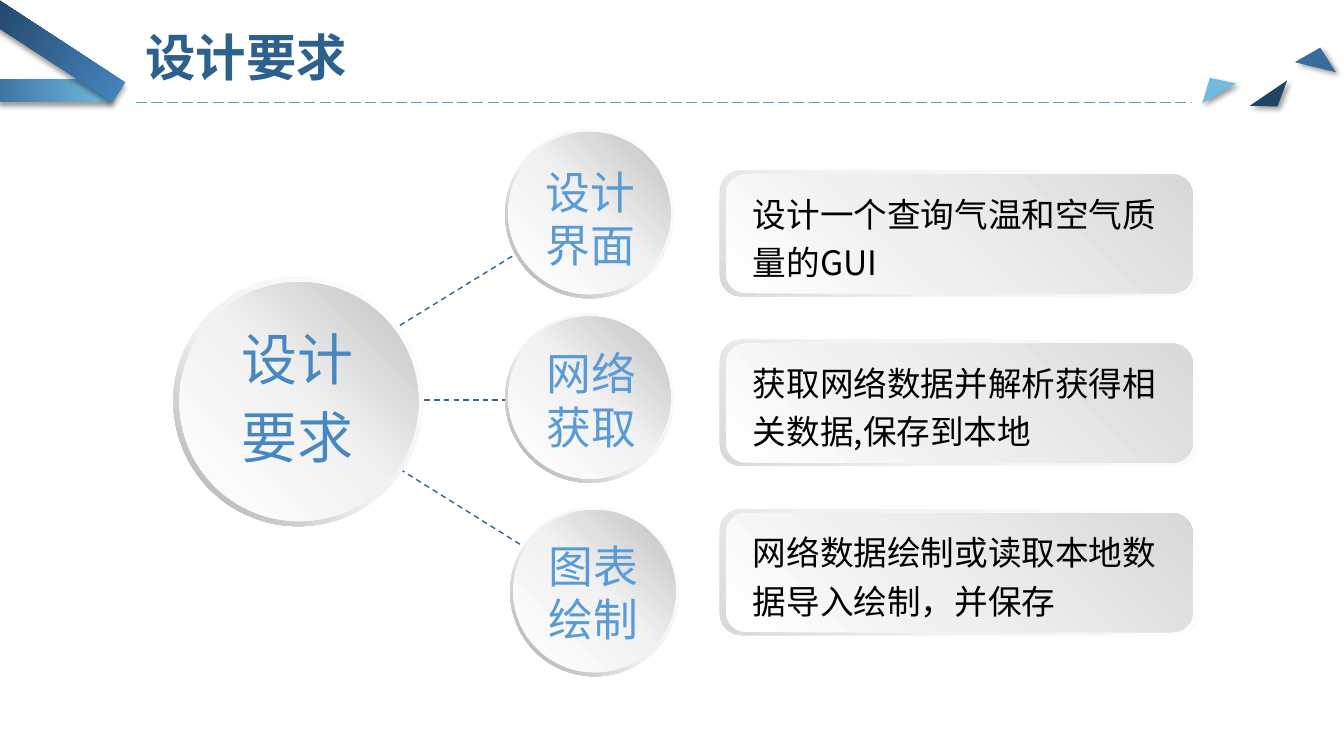
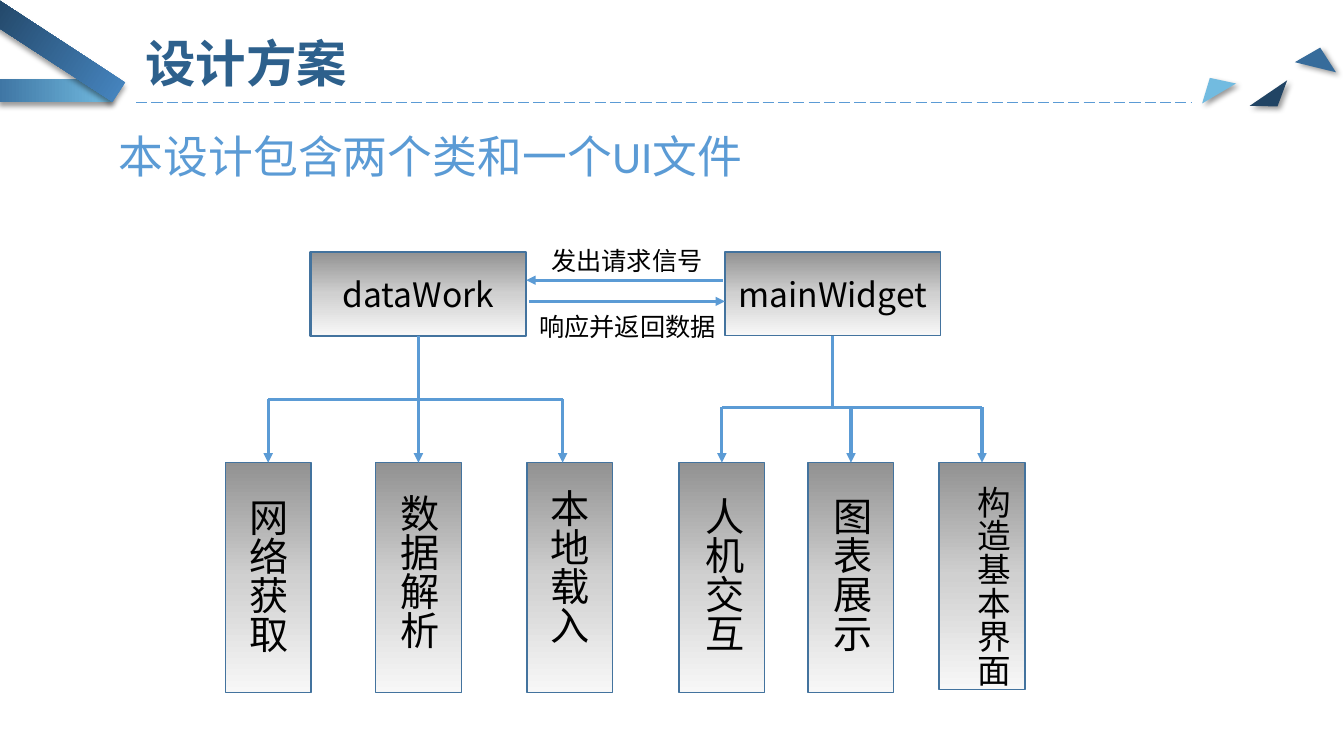
from dataclasses import dataclass

from lxml import etree
from pptx import Presentation
from pptx.dml.color import RGBColor
from pptx.enum.dml import MSO_LINE
from pptx.enum.shapes import MSO_CONNECTOR, MSO_SHAPE
from pptx.enum.text import MSO_ANCHOR, MSO_AUTO_SIZE, PP_ALIGN
from pptx.oxml.ns import qn
from pptx.util import Inches, Pt

RECTANGLE, ROUNDED, TRIANGLE = MSO_SHAPE.RECTANGLE, MSO_SHAPE.ROUNDED_RECTANGLE, MSO_SHAPE.ISOSCELES_TRIANGLE
OVAL, DONUT = MSO_SHAPE.OVAL, MSO_SHAPE.DONUT
STRAIGHT = MSO_CONNECTOR.STRAIGHT
DASH, LONG_DASH = MSO_LINE.DASH, MSO_LINE.LONG_DASH
LEFT, CENTER = PP_ALIGN.LEFT, PP_ALIGN.CENTER
TOP, MIDDLE = MSO_ANCHOR.TOP, MSO_ANCHOR.MIDDLE


@dataclass(frozen=True)
class Theme:
    body_font: str = "Noto Sans CJK SC"
    plain_font: str = "Calibri"
    title: str = "2D608C"
    accent: str = "5B9BD5"
    strong: str = "4787C2"
    navy: str = "214464"
    steel: str = "376C9B"
    sky: str = "72BBE0"
    spoke: str = "316595"
    border: str = "43739E"
    black: str = "000000"
    title_size: int = 36
    hub_size: int = 40
    heading_size: int = 32
    vertical_size: int = 28
    text_size: int = 24
    label_size: int = 18
    # Gradients: (stops, clockwise angle)
    flat_band: tuple = (((0, "72BBE0"), (100, "3F76A4")), 180)
    slant_band: tuple = (((0, "4787C2"), (100, "214464")), 180)
    ring: tuple = (((0, "FFFFFF"), (55, "F2F2F2"), (100, "A6A6A6")), 135)
    disc: tuple = (((0, "FFFFFF"), (51, "F2F2F2"), (100, "BFBFBF")), 315)
    rim: tuple = (((0, "FFFFFF"), (62, "F2F2F2"), (100, "D9D9D9")), 135)
    panel: tuple = (((0, "FFFFFF"), (42, "F0F0F0"), (100, "D9D9D9")), 315)
    node: tuple = (((0, "929292"), (50, "D0D0D0"), (100, "F7F7F7")), 90)


THEME = Theme()

# Shared decoration: kind, place, rotation, fill, shadow direction
DECORATION = [
    (RECTANGLE, (-0.01, 0.78, 1.12, 0.23), 0, THEME.flat_band, 90),
    (RECTANGLE, (-0.2, 0.39, 1.5, 0.23), 33.1, THEME.slant_band, 90),
    (TRIANGLE, (12.4, 0.91, 0.45, 0.16), 145.8, THEME.navy, 45),
    (TRIANGLE, (12.86, 0.47, 0.42, 0.2), 13.8, THEME.steel, 45),
    (TRIANGLE, (11.85, 0.76, 0.39, 0.18), 329.5, THEME.sky, 45),
]

# Requirements slide
HUB_LINES = ["设计", "要求"]
SPOKES = [((3.72, 4.5), (5.19, 5.42)), ((3.92, 3.97), (5.06, 3.97)), ((3.72, 3.38), (5.1, 2.53))]
# Heading lines, ring corner, heading place, description
REQUIREMENTS = [
    (["设计", "界面"], (5.01, 1.28), (5.17, 1.56, 1.38, 1.21), "设计一个查询气温和空气质量的GUI"),
    (["网络", "获取"], (5.01, 3.11), (5.22, 3.36, 1.3, 1.21), "获取网络数据并解析获得相关数据,保存到本地"),
    (["图表", "绘制"], (5.06, 5.03), (5.27, 5.27, 1.24, 1.21), "网络数据绘制或读取本地数据导入绘制，并保存"),
]
PANEL_TOP, PANEL_STEP = 1.69, 1.68

# Scheme slide
SUMMARY = "本设计包含两个类和一个UI文件"
# Class name, left, border width, bus height, children:
# (label, box centre, arrow x, label left, label top, height)
CLASSES = [
    ("dataWork", 3.08, 1.5, 3.96, [
        ("网络获取", 2.66, 2.66, 2.27, 4.84, 2.28),
        ("数据解析", 4.15, 4.15, 3.77, 4.8, 2.28),
        ("本地载入", 5.65, 5.58, 5.25, 4.75, 2.28)]),
    ("mainWidget", 7.19, 1, 4.04, [
        ("人机交互", 7.16, 7.16, 6.79, 4.83, 2.28),
        ("图表展示", 8.44, 8.44, 8.06, 4.83, 2.28),
        ("构造基本界面", 9.74, 9.74, 9.49, 4.72, 2.25)]),
]
# Message, place, arrow start, arrow end
MESSAGES = [
    ("发出请求信号", (5.37, 2.38, 1.72, 0.4), (7.17, 2.78), (5.22, 2.78)),
    ("响应并返回数据", (5.25, 3.04, 1.97, 0.4), (5.25, 2.99), (7.19, 2.99)),
]
CLASS_TOP, CLASS_WIDTH, CLASS_HEIGHT = 2.5, 2.14, 0.83
CHILD_TOP, CHILD_WIDTH = 4.59, 0.85


def color(value):
    return RGBColor.from_string(value)


def add_element(parent, tag, **attributes):
    return etree.SubElement(parent, qn(tag), {key: str(value) for key, value in attributes.items()})


def paint(shape, fill):
    """Fill with one colour or with a (stops, angle) gradient."""
    if isinstance(fill, str):
        shape.fill.solid()
        shape.fill.fore_color.rgb = color(fill)
        return
    stops, angle = fill
    shape.fill.gradient()
    shape.fill.gradient_angle = 360 - angle
    stop_list = shape.element.spPr.find(".//" + qn("a:gsLst"))
    for old_stop in list(stop_list):
        stop_list.remove(old_stop)
    for position, value in stops:
        stop = add_element(stop_list, "a:gs", pos=position * 1000)
        add_element(stop, "a:srgbClr", val=value)


def add_figure(slide, kind, place, fill, rotation=0, border=None, adjustment=None):
    shape = slide.shapes.add_shape(kind, *map(Inches, place))
    shape.rotation = rotation
    paint(shape, fill)
    if border:
        shape.line.color.rgb = color(THEME.border)
        shape.line.width = Pt(border)
    else:
        shape.line.fill.background()
    if adjustment is not None:
        shape.adjustments[0] = adjustment
    shape.shadow.inherit = False
    return shape


def add_shadow(shape, direction):
    effects = shape.element.spPr.find(qn("a:effectLst"))
    shadow = add_element(effects, "a:outerShdw", blurRad=Pt(4), dist=Pt(3),
                         dir=direction * 60000, algn="tl", rotWithShape=0)
    add_element(add_element(shadow, "a:srgbClr", val=THEME.black), "a:alpha", val=40000)


def add_line(slide, start, end, line_color=THEME.accent, width=2.25, dash=None, arrow=False):
    line = slide.shapes.add_connector(STRAIGHT, *map(Inches, (*start, *end)))
    line.line.color.rgb = color(line_color)
    line.line.width = Pt(width)
    if dash:
        line.line.dash_style = dash
    if arrow:
        add_element(line.element.spPr.find(qn("a:ln")), "a:tailEnd", type="triangle")
    add_element(line.element.spPr, "a:effectLst")
    return line


def write(shape, lines, size, text_color=THEME.black, font=THEME.body_font, align=LEFT, anchor=TOP,
          margins=(0.1, 0.05, 0.1, 0.05), spacing=None, gap=0, bold=False):
    frame = shape.text_frame
    frame.word_wrap = True
    frame.vertical_anchor = anchor
    (frame.margin_left, frame.margin_top,
     frame.margin_right, frame.margin_bottom) = map(Inches, margins)
    for index, line in enumerate(lines):
        paragraph = frame.add_paragraph() if index else frame.paragraphs[0]
        paragraph.alignment = align
        if spacing:
            paragraph.line_spacing = spacing
        if index and gap:
            paragraph.space_before = Pt(gap)
        run = paragraph.add_run()
        run.text = line
        run.font.name = font
        run.font.size = Pt(size)
        run.font.bold = bold
        run.font.color.rgb = color(text_color)
        add_element(run.font._element, "a:ea", typeface=THEME.plain_font)
    return frame


def add_text(slide, place, lines, size, **style):
    box = slide.shapes.add_textbox(*map(Inches, place))
    return write(box, lines, size, **style)


def add_title(slide, text, top, height):
    title = slide.shapes.title
    title.left, title.top, title.width, title.height = map(Inches, (1.34, top, 4.94, height))
    write(title, [text], THEME.title_size, text_color=THEME.title, font=THEME.plain_font,
          anchor=MIDDLE, spacing=0.9, bold=True)


def decorate_layout(layout, slide):
    """Draw the shared parts once and move them to the layout."""
    parts = []
    for kind, place, rotation, fill, direction in DECORATION:
        shape = add_figure(slide, kind, place, fill, rotation)
        add_shadow(shape, direction)
        parts.append(shape)
    parts.append(add_line(slide, (1.35, 1.02), (11.81, 1.02), width=1, dash=LONG_DASH))
    for number, part in enumerate(parts, start=100):
        part.element.find(".//" + qn("p:cNvPr")).set("id", str(number))
        layout.shapes.element.append(part.element)


def add_medallion(slide, left, top, size, inset, disc_size):
    add_figure(slide, DONUT, (left, top, size, size), THEME.ring, adjustment=0.049)
    add_figure(slide, OVAL, (left + inset, top + inset, disc_size, disc_size), THEME.disc)


def build_requirements(slide):
    add_title(slide, "设计要求", 0.13, 0.94)
    for start, end in SPOKES:
        add_line(slide, start, end, THEME.spoke, 1, DASH)

    # Hub
    wide_margins = (0.13, 0.07, 0.13, 0.07)
    add_medallion(slide, 1.72, 2.74, 2.48, 0.06, 2.37)
    add_text(slide, (2.21, 3.15, 1.48, 2.18), HUB_LINES, THEME.hub_size, text_color=THEME.strong,
             align=CENTER, margins=wide_margins, gap=THEME.hub_size * 0.2)

    # Requirement rows
    for row, (heading, corner, place, description) in enumerate(REQUIREMENTS):
        add_medallion(slide, *corner, 1.68, 0.03, 1.61)
        add_text(slide, place, heading, THEME.heading_size, text_color=THEME.accent,
                 align=CENTER, margins=wide_margins)
        top = PANEL_TOP + row * PANEL_STEP
        add_figure(slide, ROUNDED, (7.14, top, 4.75, 1.25), THEME.rim)
        panel = add_figure(slide, ROUNDED, (7.2, top + 0.04, 4.63, 1.18), THEME.panel)
        write(panel, [description], THEME.text_size, anchor=MIDDLE, spacing=1.2,
              margins=(0.21, 0.05, 0.07, 0.05))


def build_scheme(slide):
    add_title(slide, "设计方案", 0.24, 0.83)
    add_text(slide, (1.08, 1.23, 6.44, 0.64), [SUMMARY], THEME.heading_size,
             text_color=THEME.accent, font=THEME.plain_font)

    for name, left, border, bus, children in CLASSES:
        # Class box
        box = add_figure(slide, RECTANGLE, (left, CLASS_TOP, CLASS_WIDTH, CLASS_HEIGHT),
                         THEME.node, border=border)
        write(box, [name], THEME.text_size, align=CENTER, anchor=MIDDLE)

        # Task boxes with vertical labels
        for label, center, _, label_left, label_top, height in children:
            add_figure(slide, RECTANGLE, (center - CHILD_WIDTH / 2, CHILD_TOP, CHILD_WIDTH, height),
                       THEME.node, border=1)
            size = THEME.vertical_size if len(label) == 4 else THEME.text_size
            width = 0.67 if len(label) == 4 else 0.61
            frame = add_text(slide, (label_left, label_top, width, 2.45), [label], size)
            frame.auto_size = MSO_AUTO_SIZE.SHAPE_TO_FIT_TEXT
            frame._element.find(qn("a:bodyPr")).set("vert", "eaVert")

        # Tree lines
        trunk = left + CLASS_WIDTH / 2
        arrows = [child[2] for child in children]
        add_line(slide, (trunk, CLASS_TOP + CLASS_HEIGHT), (trunk, bus))
        add_line(slide, (arrows[0], bus), (arrows[-1], bus))
        for x in arrows:
            add_line(slide, (x, bus), (x, CHILD_TOP), arrow=True)

    # Messages between the classes
    for message, place, start, end in MESSAGES:
        add_line(slide, start, end, arrow=True)
        frame = add_text(slide, place, [message], THEME.label_size, font=THEME.plain_font)
        frame.word_wrap = False


def main():
    presentation = Presentation()
    presentation.slide_width, presentation.slide_height = Inches(13.33), Inches(7.5)
    layout = presentation.slide_layouts[5]
    slides = [presentation.slides.add_slide(layout) for _ in range(2)]
    decorate_layout(layout, slides[0])
    build_requirements(slides[0])
    build_scheme(slides[1])
    presentation.save("out.pptx")


if __name__ == "__main__":
    main()
